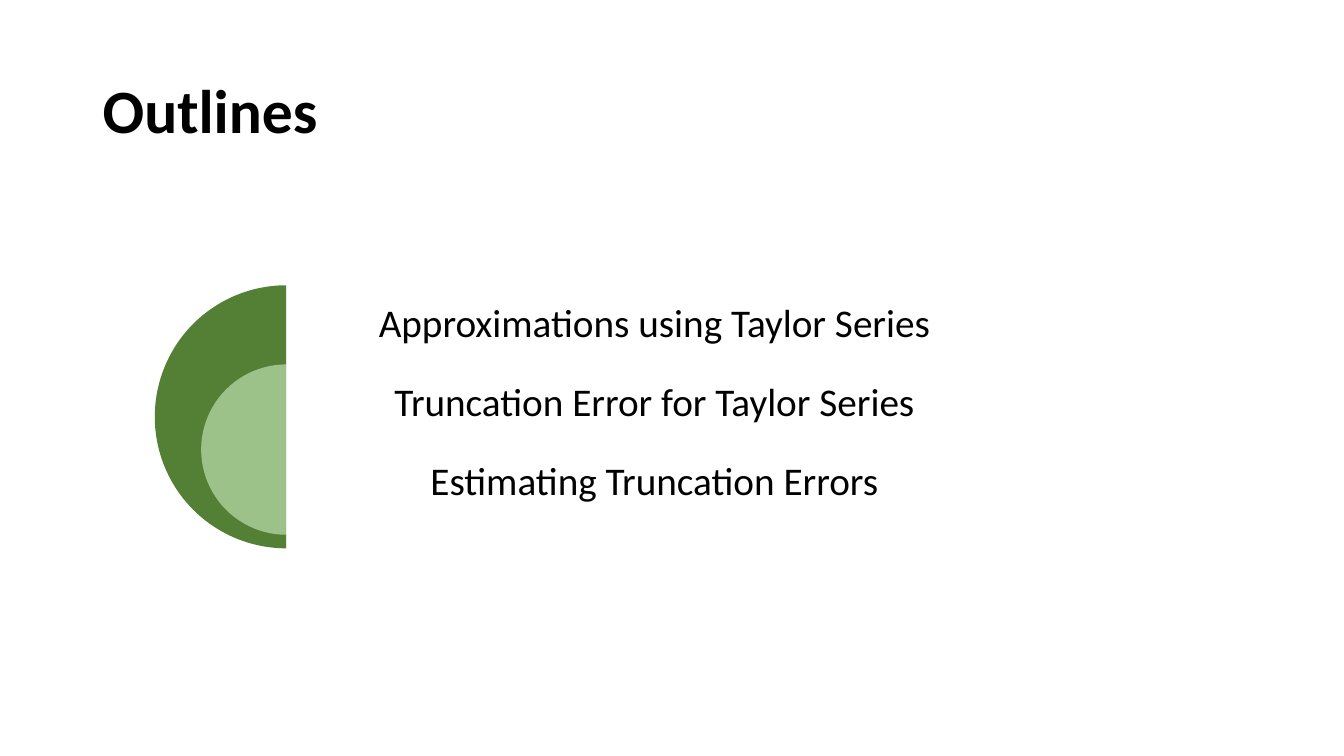
from lxml.etree import SubElement
from pptx import Presentation
from pptx.dml.color import RGBColor
from pptx.enum.shapes import MSO_SHAPE
from pptx.enum.text import MSO_ANCHOR, PP_ALIGN
from pptx.oxml.ns import qn
from pptx.util import Inches, Pt

BLACK = RGBColor(0x00, 0x00, 0x00)
WHITE = RGBColor(0xFF, 0xFF, 0xFF)
DARK_GREEN = RGBColor(0x53, 0x80, 0x35)
LIGHT_GREEN = RGBColor(0x9C, 0xC1, 0x89)

AXIS = 2.84
TOP = 2.83
ROW_HEIGHT = 0.78
ROW_STEP = 0.785
PANEL_WIDTH = 7.3
TOPICS = [
    ("Approximations using Taylor Series", 2.61, DARK_GREEN),
    ("Truncation Error for Taylor Series", 1.69, LIGHT_GREEN),
    ("Estimating Truncation Errors", 0.78, LIGHT_GREEN),
]


class OutlineSlide:
    font = "Calibri"

    def __init__(self, page):
        self.page = page

    def shape(self, kind, left, top, width, height, color):
        shape = self.page.shapes.add_shape(
            kind, Inches(left), Inches(top), Inches(width), Inches(height))
        shape.shadow.inherit = False
        shape.fill.solid()
        shape.fill.fore_color.rgb = color
        shape.line.fill.background()
        return shape

    def half_disc(self, top, diameter, color):
        """Draw the left half of a disc centred on the common axis."""
        disc = self.shape(MSO_SHAPE.PIE, AXIS - diameter / 2, top,
                          diameter, diameter, color)
        disc.adjustments[0] = 54
        disc.adjustments[1] = 162

    def panel(self, top, height):
        """Draw a white panel at 90 % opacity."""
        panel = self.shape(MSO_SHAPE.RECTANGLE, AXIS, top,
                           PANEL_WIDTH, height, WHITE)
        color = panel._element.spPr.find(qn("a:solidFill"))[0]
        SubElement(color, qn("a:alpha"), val="90000")

    def text(self, wording, left, top, width, height, size,
             bold=False, align=PP_ALIGN.LEFT, inset=(0.1, 0.05), after=0):
        box = self.page.shapes.add_textbox(
            Inches(left), Inches(top), Inches(width), Inches(height))
        frame = box.text_frame
        frame.word_wrap = True
        frame.vertical_anchor = MSO_ANCHOR.MIDDLE
        frame.margin_left = frame.margin_right = Inches(inset[0])
        frame.margin_top = frame.margin_bottom = Inches(inset[1])
        frame.text = wording
        para = frame.paragraphs[0]
        para.alignment = align
        para.line_spacing = 0.9
        para.space_after = Pt(after)
        font = para.runs[0].font
        font.name = self.font
        font.size = Pt(size)
        font.bold = bold
        font.color.rgb = BLACK


def main():
    deck = Presentation()
    deck.slide_width = Inches(13.33)
    deck.slide_height = Inches(7.5)
    outline = OutlineSlide(deck.slides.add_slide(deck.slide_layouts[6]))

    outline.text("Outlines", 0.92, 0.4, 11.5, 1.45, 44, bold=True)
    for row, (topic, diameter, color) in enumerate(TOPICS):
        top = TOP + row * ROW_STEP
        outline.half_disc(top, diameter, color)
        outline.panel(top, diameter)
        outline.text(topic, AXIS, top, PANEL_WIDTH, ROW_HEIGHT, 28,
                     align=PP_ALIGN.CENTER, inset=(0.12, 0.12), after=9.8)

    deck.save("out.pptx")


if __name__ == "__main__":
    main()
